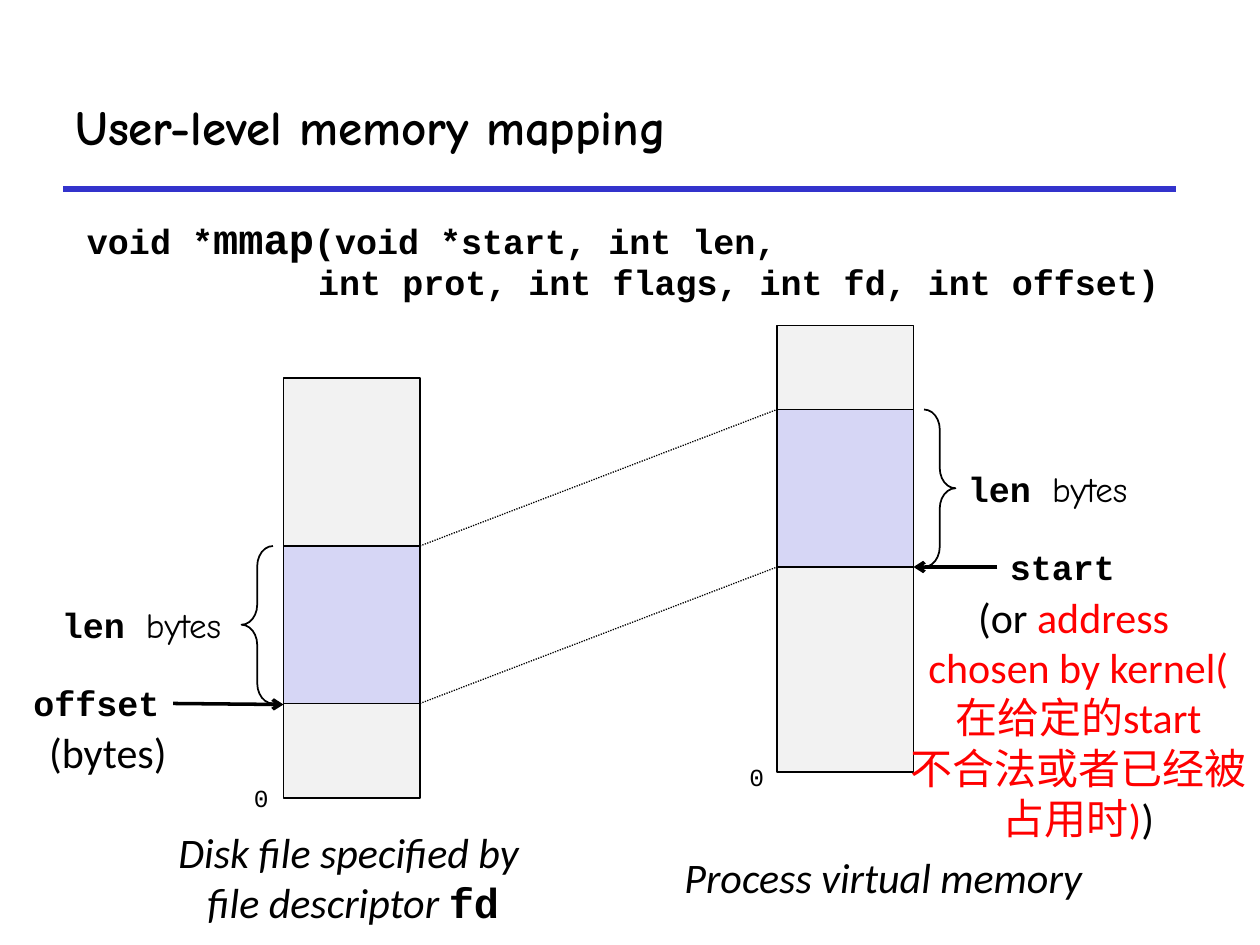
from dataclasses import dataclass

from lxml.etree import SubElement
from pptx import Presentation
from pptx.dml.color import RGBColor as Rgb
from pptx.enum.dml import MSO_LINE as Dash
from pptx.enum.shapes import MSO_CONNECTOR as Conn, MSO_SHAPE as Shape
from pptx.enum.text import MSO_ANCHOR as Anchor, MSO_AUTO_SIZE as Auto, PP_ALIGN as Align
from pptx.oxml.ns import qn
from pptx.util import Inches, Pt


@dataclass(frozen=True)
class Theme:
    ink: str = "000000"
    rule: str = "3333CC"
    gray: str = "F2F2F2"
    blue: str = "D6D6F5"
    red: str = "FF0000"
    code: str = "Courier New"
    body: str = "Calibri"
    hand: str = "Comic Neue"
    head: int = 28
    big: int = 24
    mid: int = 20
    small: int = 14


T = Theme()
CODE = dict(face=T.code, size=T.mid, bold=True)
BODY = dict(face=T.body, size=T.big)
NOTE = dict(BODY, italic=True)
ZERO = dict(face=T.code, size=T.small)
LEN = [[("len ", {}), ("bytes", dict(face=T.hand, bold=False))]]


class Board:
    """A slide on a grid of 120 columns by 90 rows."""

    def __init__(self, deck):
        self.cell = deck.slide_width / 120
        self.slide = deck.slides.add_slide(deck.slide_layouts[6])
        self.shapes = self.slide.shapes

    def place(self, *units):
        return [round(u * self.cell) for u in units]

    def style(self, font, face=None, size=None, color=None, bold=None, italic=None):
        if face:
            font.name = face
        if size:
            font.size = Pt(size)
        if color:
            font.color.rgb = Rgb.from_string(color)
        if bold is not None:
            font.bold = bold
        if italic is not None:
            font.italic = italic

    def text(self, area, paras, look, align=Align.LEFT, wrap=False,
             anchor=Anchor.TOP, space=None):
        """Each paragraph is a string or a list of (text, changes) runs."""
        frame = self.shapes.add_textbox(*self.place(*area)).text_frame
        frame.word_wrap = wrap
        frame.auto_size = Auto.NONE if wrap else Auto.SHAPE_TO_FIT_TEXT
        frame.vertical_anchor = anchor
        for i, runs in enumerate(paras):
            para = frame.add_paragraph() if i else frame.paragraphs[0]
            para.alignment = align
            if space:
                para.line_spacing = space
            base = {"color": T.ink, **look}
            if isinstance(runs, str):
                runs = [(runs, {})]
            same = all(not diff for _, diff in runs)
            if same:
                self.style(para.font, **base)
            for words, diff in runs:
                run = para.add_run()
                run.text = words
                if not same:
                    self.style(run.font, **{**base, **diff})

    def shape(self, kind, area, fill=None):
        item = self.shapes.add_shape(kind, *self.place(*area))
        item.shadow.inherit = False
        if fill:
            item.fill.solid()
            item.fill.fore_color.rgb = Rgb.from_string(fill)
        else:
            item.fill.background()
        item.line.color.rgb = Rgb.from_string(T.ink)
        item.line.width = Pt(1)
        return item

    def brace(self, kind, x, y):
        self.shape(kind, (x, y, 3, 15)).adjustments[0] = 0.64

    def line(self, start, end, width, color=T.ink, dash=None, arrow=False):
        item = self.shapes.add_connector(Conn.STRAIGHT, *self.place(*start, *end))
        SubElement(item._element.spPr, qn("a:effectLst"))
        item.line.color.rgb = Rgb.from_string(color)
        item.line.width = Pt(width)
        if dash:
            item.line.dash_style = dash
        if arrow:
            SubElement(item.line._get_or_add_ln(), qn("a:tailEnd"), type="arrow")

    def memory(self, x, top, height, block):
        """A memory column with its mapped block."""
        self.shape(Shape.RECTANGLE, (x, top, 13, height), T.gray)
        self.shape(Shape.RECTANGLE, (x, block, 13, 15), T.blue)


def main():
    deck = Presentation()
    deck.slide_width, deck.slide_height = Inches(10), Inches(7.5)
    b = Board(deck)

    b.line((6, 18), (112, 18), 3, T.rule)
    b.text((6, 6, 106, 12), ["User-level memory mapping"],
           dict(face=T.hand, size=T.head, bold=True), wrap=True, anchor=Anchor.MIDDLE)
    b.text((7.1, 20, 106, 11), [
        [("void *", {}), ("mmap", dict(size=T.big)), ("(void *start, int len,", {})],
        "           int prot, int flags, int fd, int offset)",
    ], CODE, wrap=True, space=0.94)

    disk, virt = 52, 39
    b.memory(27, 36, 40, disk)
    b.memory(74, 31, 42.5, virt)
    for step in (0, 15):
        b.line((40, disk + step), (74, virt + step), 0.75, dash=Dash.ROUND_DOT)

    b.brace(Shape.RIGHT_BRACE, 88, virt)
    b.text((91, 43.9, 19.3, 5.3), LEN, CODE)
    b.line((95, 54), (87, 54), 2, arrow=True)
    b.text((95, 51.4, 12.5, 5.3), ["start"], CODE)
    b.text((85.5, 55.7, 34.4, 25.4), [
        [("(or ", dict(color=T.ink)), ("address ", {})],
        "chosen by kernel(",
        "在给定的start",
        "不合法或者已经被",
        [("占用时)", {}), (")", dict(color=T.ink))],
    ], dict(BODY, color=T.red), Align.CENTER)

    b.brace(Shape.LEFT_BRACE, 23, disk)
    b.text((4.7, 56.9, 19.3, 5.3), LEN, CODE)
    b.line((16.5, 67), (27, 67.1), 2, arrow=True)
    b.text((2, 64.3, 14.5, 5.3), ["offset"], CODE)
    b.text((3.5, 68.6, 14, 6.1), ["(bytes)"], BODY)

    for x, y in ((23, 74), (70.2, 72)):
        b.text((x, y, 3.8, 4.1), ["0"], ZERO)
    b.text((64, 80.5, 40.7, 6.1), ["Process virtual memory"], NOTE)
    b.text((15.6, 78.1, 36.1, 10.9), [
        "Disk file specified by ",
        [("file descriptor ", {}), ("fd", dict(face=T.code, bold=True, italic=False))],
    ], NOTE, Align.CENTER)

    deck.save("out.pptx")


if __name__ == "__main__":
    main()
